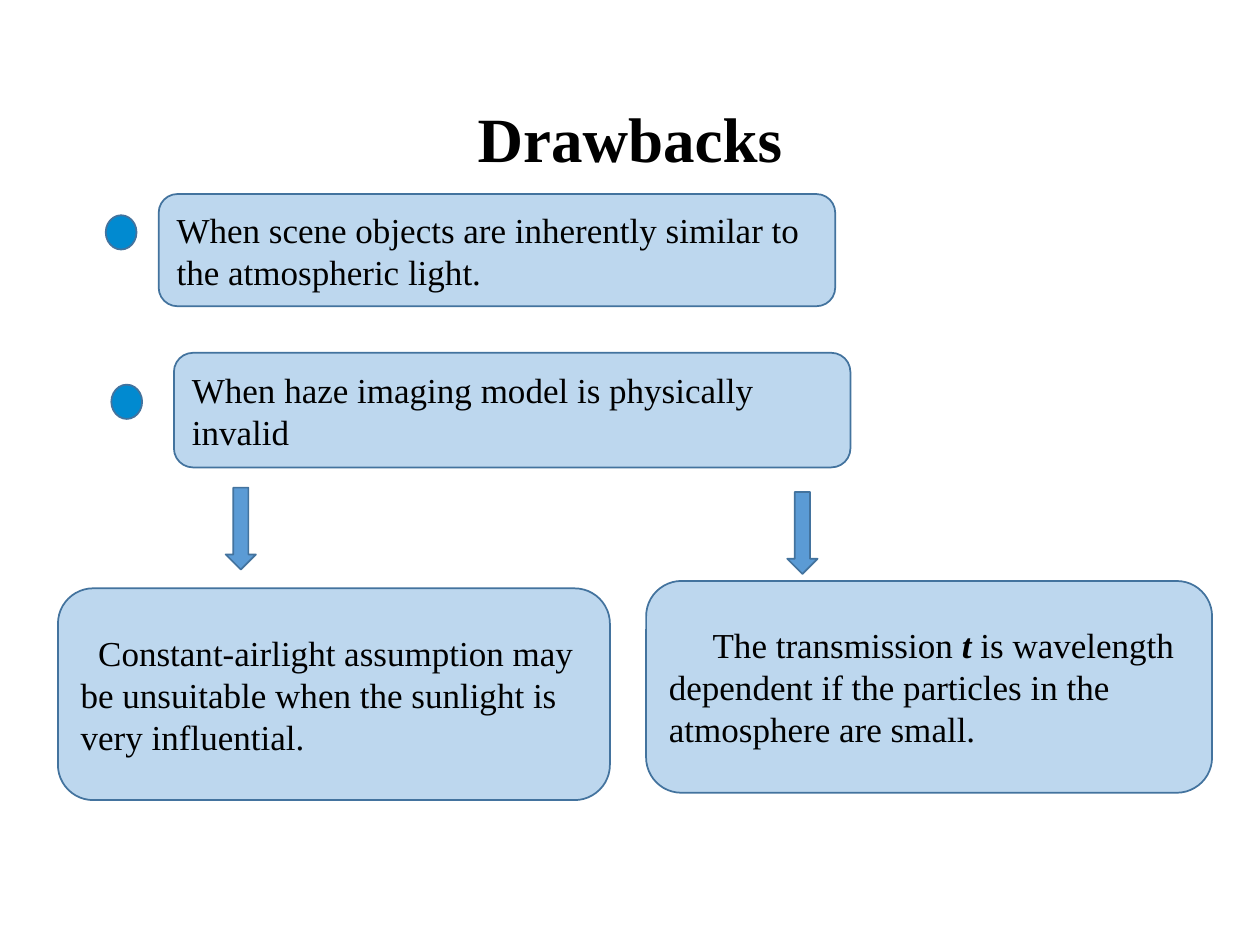
from pptx import Presentation
from pptx.dml.color import RGBColor
from pptx.enum import shapes, text
from pptx.util import Pt

BLACK = RGBColor(0x00, 0x00, 0x00)
PALE_BLUE = RGBColor(0xBD, 0xD7, 0xEE)
ARROW_BLUE = RGBColor(0x5B, 0x9B, 0xD5)
DOT_BLUE = RGBColor(0x01, 0x8A, 0xD0)
OUTLINE = RGBColor(0x43, 0x73, 0x9E)
FONT = "Times New Roman"
KIND = shapes.MSO_SHAPE


def add_outlined(page, kind, fill, left, top, width, height):
    shape = page.shapes.add_shape(kind, Pt(left), Pt(top), Pt(width), Pt(height))
    shape.shadow.inherit = False
    shape.fill.solid()
    shape.fill.fore_color.rgb = fill
    shape.line.color.rgb = OUTLINE
    shape.line.width = Pt(1)
    return shape


def set_font(font, **values):
    for name, value in {"name": FONT, **values}.items():
        setattr(font, name, value)
    font.color.rgb = BLACK


deck = Presentation()
deck.slide_width, deck.slide_height = Pt(720), Pt(540)
page = deck.slides.add_slide(deck.slide_layouts[5])

# Title
title = page.shapes.title
title.left, title.top, title.width, title.height = Pt(49.7), Pt(28.8), Pt(620.6), Pt(104.4)
title.text_frame.vertical_anchor = text.MSO_ANCHOR.MIDDLE
title.text_frame.text = "Drawbacks"
para = title.text_frame.paragraphs[0]
para.alignment = text.PP_ALIGN.CENTER
para.line_spacing = 0.9
set_font(para.runs[0].font, size=Pt(36), bold=True)

# Two drawbacks, then the two reasons behind the second one.
# Each entry: place, first-line indent, spans of (wording, emphasised)
boxes = [
    ((90.7, 110.9, 386.6, 64.1), 0,
     [("When scene objects are inherently similar to the atmospheric light.", False)]),
    ((99.4, 201.6, 386.6, 65.5), 0,
     [("When haze imaging model is physically invalid", False)]),
    ((33.1, 336.2, 315.4, 121), 10,
     [("Constant-airlight assumption may be unsuitable when the sunlight is very influential.",
       False)]),
    ((369.2, 332, 323.4, 121), 25,
     [("The transmission ", False), ("t", True),
      (" is wavelength dependent if the particles in the atmosphere are small.", False)]),
]
for place, indent, spans in boxes:
    box = add_outlined(page, KIND.ROUNDED_RECTANGLE, PALE_BLUE, *place)
    box.text_frame.word_wrap = True
    box.text_frame.vertical_anchor = text.MSO_ANCHOR.MIDDLE
    para = box.text_frame.paragraphs[0]
    para.alignment = text.PP_ALIGN.LEFT
    para._p.get_or_add_pPr().set("indent", str(Pt(indent)))
    for wording, emphasised in spans:
        span = para.add_run()
        span.text = wording
        set_font(span.font, size=Pt(20), bold=emphasised, italic=emphasised)

# Bullet dots beside the drawbacks
for left, top in [(60.4, 123), (63.6, 219.8)]:
    add_outlined(page, KIND.FLOWCHART_CONNECTOR, DOT_BLUE, left, top, 17.6, 19.6)

# Arrows down to the reasons
for left, top in [(114.2, 293.4), (435.1, 295.9)]:
    arrow = add_outlined(page, KIND.RIGHT_ARROW, ARROW_BLUE, left, top, 46.8, 17.3)
    arrow.rotation = 90

deck.save("out.pptx")
